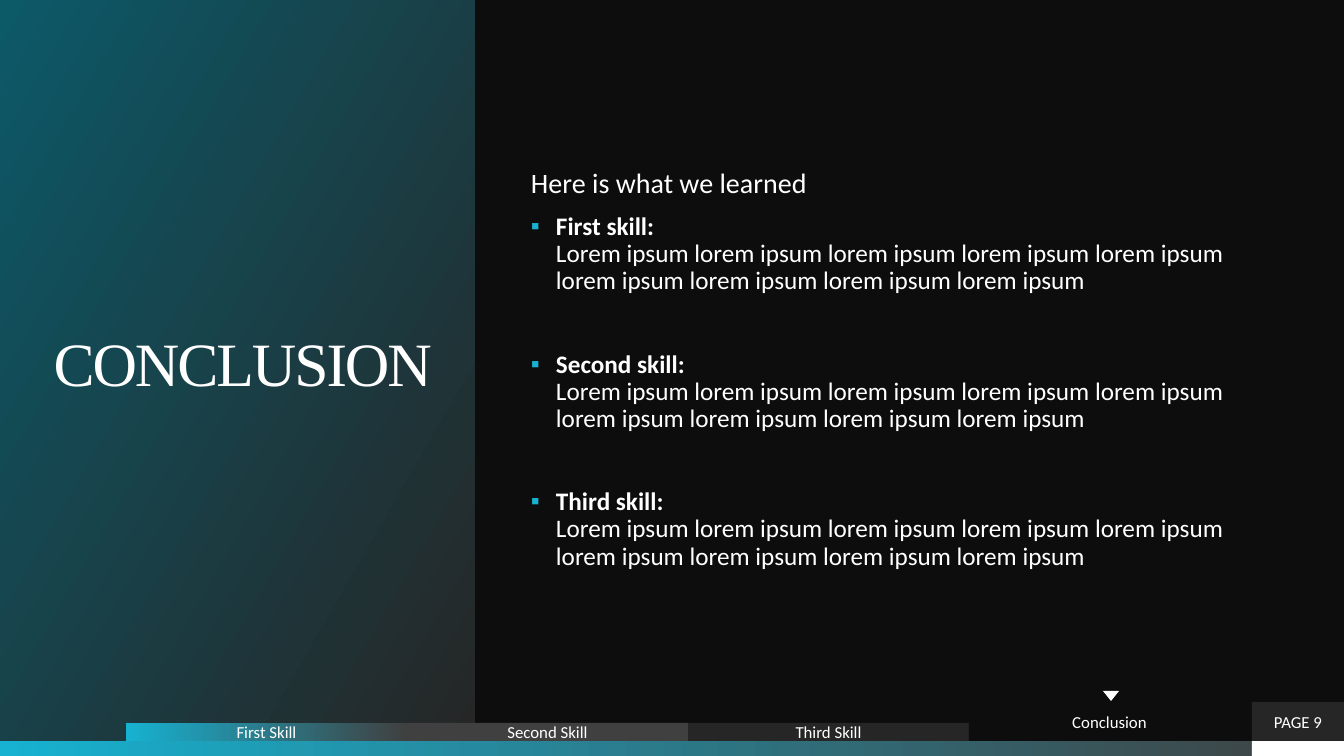
from lxml import etree
from pptx import Presentation
from pptx.dml.color import RGBColor
from pptx.enum.shapes import MSO_SHAPE
from pptx.enum.text import MSO_ANCHOR, MSO_AUTO_SIZE, PP_ALIGN
from pptx.oxml.ns import qn
from pptx.util import Emu, Pt

RECTANGLE, TRIANGLE = MSO_SHAPE.RECTANGLE, MSO_SHAPE.ISOSCELES_TRIANGLE
LEFT, CENTER, RIGHT = PP_ALIGN.LEFT, PP_ALIGN.CENTER, PP_ALIGN.RIGHT
MIDDLE = MSO_ANCHOR.MIDDLE
NO_AUTOFIT = MSO_AUTO_SIZE.NONE

WHITE = RGBColor(0xFF, 0xFF, 0xFF)
BLACK = RGBColor(0x0D, 0x0D, 0x0D)
CHARCOAL = RGBColor(0x26, 0x26, 0x26)
GRAY = RGBColor(0x40, 0x40, 0x40)
CYAN = RGBColor(0x17, 0xB2, 0xD1)
TEAL = RGBColor(0x0C, 0x59, 0x68)

WIDTH, HEIGHT = 1344, 756
BAR_TOP, BAR_HEIGHT = 741, 15
PAGE_LEFT, PAGE_TOP = 1252, 702
TAB_LEFT, TAB_WIDTH, TAB_TOP = 126, 281, 723
SKILLS = ("First skill:", "Second skill:", "Third skill:")
SKILL_TEXT = " ".join(["Lorem ipsum"] + ["lorem ipsum"] * 8)


def px(length):
    return Emu(round(length * 914400 / 100.8))


class Deck:
    """Holds the style and the current slide, and draws its elements."""

    font = "Calibri"
    title_font = "Times New Roman"

    def __init__(self):
        self.presentation = Presentation()
        self.presentation.slide_width = px(WIDTH)
        self.presentation.slide_height = px(HEIGHT)
        layout = self.presentation.slide_layouts[1]
        self.slide = self.presentation.slides.add_slide(layout)
        background = self.slide.background.fill
        background.solid()
        background.fore_color.rgb = BLACK

    def place(self, shape, left, top, width, height):
        shape.left, shape.top = px(left), px(top)
        shape.width, shape.height = px(width), px(height)

    def paint(self, shape, colors, angle=0):
        if len(colors) == 1:
            shape.fill.solid()
            shape.fill.fore_color.rgb = colors[0]
            return
        shape.fill.gradient()
        shape.fill.gradient_angle = angle
        for stop, color in zip(shape.fill.gradient_stops, colors):
            stop.color.rgb = color

    def frame(self, shape, side=0, end=0):
        frame = shape.text_frame
        frame.word_wrap = True
        frame.auto_size = NO_AUTOFIT
        frame.vertical_anchor = MIDDLE
        frame.margin_left = frame.margin_right = px(side)
        frame.margin_top = frame.margin_bottom = px(end)
        return frame

    def style(self, paragraph, size, align, font=None):
        paragraph.alignment = align
        paragraph.font.name = font or self.font
        paragraph.font.size = Pt(size)
        paragraph.font.color.rgb = WHITE

    def block(self, left, top, width, height, *colors, label="", kind=RECTANGLE):
        block = self.slide.shapes.add_shape(
            kind, px(left), px(top), px(width), px(height))
        block.shadow.inherit = False
        block.line.fill.background()
        self.paint(block, colors)
        if label:
            paragraph = self.frame(block).paragraphs[0]
            paragraph.text = label
            self.style(paragraph, 12, CENTER)
        return block

    def title(self, text, left, top, width, height):
        title = self.slide.shapes.title
        self.place(title, left, top, width, height)
        self.paint(title, (CHARCOAL, TEAL), 150)
        paragraph = self.frame(title, side=43).paragraphs[0]
        paragraph.line_spacing = 0.7
        self.style(paragraph, 44, RIGHT, self.title_font)
        run = paragraph.add_run()
        run.text = text
        run._r.get_or_add_rPr().set("spc", "-150")

    def bullet(self, paragraph, symbol=None):
        properties = paragraph._p.get_or_add_pPr()
        indent = px(25) if symbol else 0
        properties.set("marL", str(indent))
        properties.set("indent", str(-indent))
        text_default = properties.find(qn("a:defRPr"))
        if symbol:
            color = etree.Element(qn("a:buClr"))
            etree.SubElement(color, qn("a:srgbClr")).set("val", str(CYAN))
            text_default.addprevious(color)
            mark = etree.Element(qn("a:buChar"))
            mark.set("char", symbol)
        else:
            mark = etree.Element(qn("a:buNone"))
        text_default.addprevious(mark)

    def summary(self, heading, items, left, top, width, height):
        body = self.slide.placeholders[1]
        self.place(body, left, top, width, height)
        frame = self.frame(body, side=12, end=12)
        lead = frame.paragraphs[0]
        lead.text = heading
        lead.line_spacing, lead.space_before = 0.9, Pt(10)
        self.style(lead, 20, LEFT)
        self.bullet(lead)
        for index, (name, text) in enumerate(items):
            item = frame.add_paragraph()
            item.line_spacing = 0.9
            item.space_before = Pt(40 if index else 10)
            self.style(item, 18, LEFT)
            self.bullet(item, "▪")
            name_run = item.add_run()
            name_run.text = name
            name_run.font.bold = True
            item.add_line_break()
            item.add_run().text = text


def main():
    deck = Deck()
    page_width = WIDTH - PAGE_LEFT
    deck.block(0, BAR_TOP, WIDTH, BAR_HEIGHT, CYAN, GRAY)
    deck.block(PAGE_LEFT, BAR_TOP, page_width, BAR_HEIGHT, WHITE)
    deck.title("CONCLUSION", 0, 0, 475, BAR_TOP)
    deck.summary("Here is what we learned",
                 [(skill, SKILL_TEXT) for skill in SKILLS], 519, 40, 733, 660)
    deck.block(PAGE_LEFT, PAGE_TOP, page_width, BAR_TOP - PAGE_TOP, CHARCOAL,
               label="PAGE 9")
    tabs = (("First Skill", TAB_TOP, (CYAN, GRAY)),
            ("Second Skill", TAB_TOP, (GRAY,)),
            ("Third Skill", TAB_TOP, (CHARCOAL,)),
            ("Conclusion", PAGE_TOP, (BLACK,)))
    for index, (label, top, colors) in enumerate(tabs):
        deck.block(TAB_LEFT + index * TAB_WIDTH, top, TAB_WIDTH, BAR_TOP - top,
                   *colors, label=label)
    marker = deck.block(1103, 691, 16, 10, WHITE, kind=TRIANGLE)
    marker.rotation = 180
    deck.presentation.save("out.pptx")


if __name__ == "__main__":
    main()
